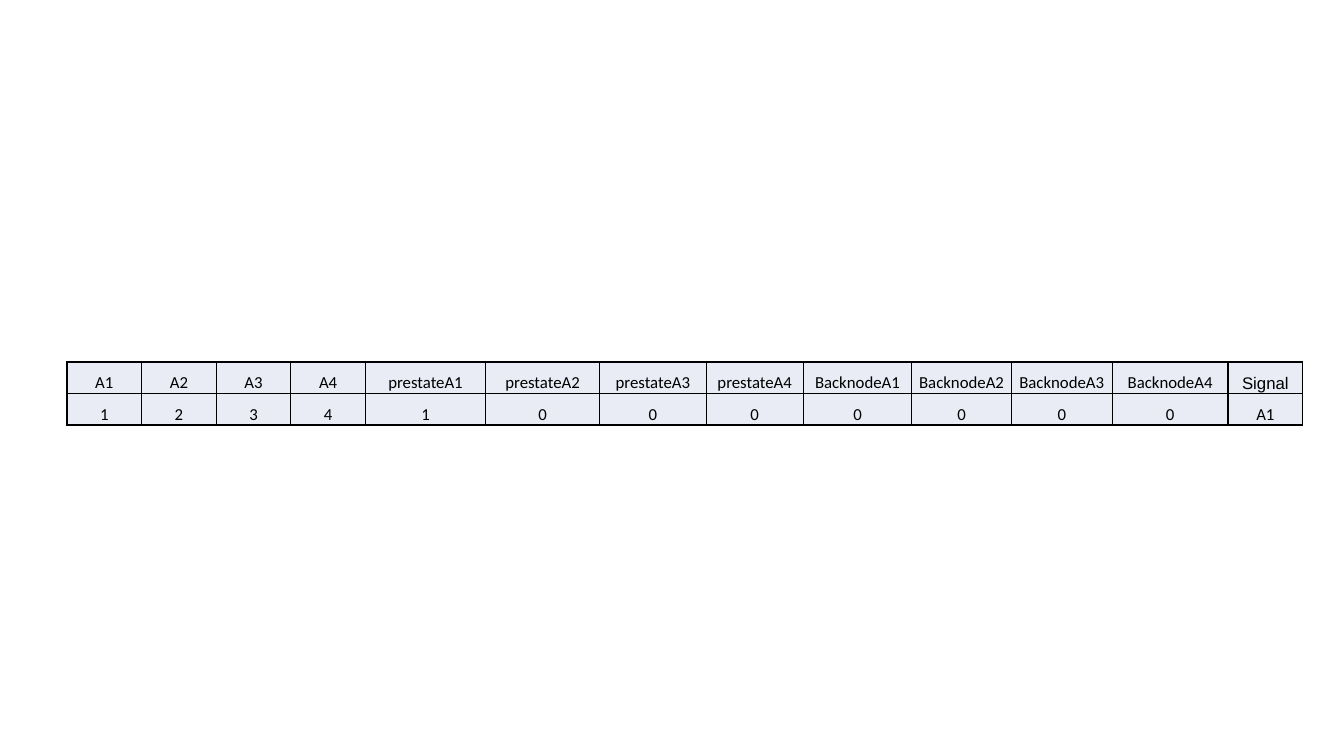
from dataclasses import dataclass

from lxml.etree import SubElement
from pptx import Presentation
from pptx.dml.color import RGBColor
from pptx.enum.text import MSO_ANCHOR as Anchor, PP_ALIGN as Align
from pptx.oxml.ns import qn
from pptx.table import _Cell as Cell
from pptx.util import Cm, Pt

BLACK = RGBColor(0x00, 0x00, 0x00)
PALE = RGBColor(0xE9, 0xEB, 0xF5)
LEFT, TOP, ROW = 1.69, 9.12, 0.53


@dataclass(frozen=True)
class Column:
    head: str
    value: str
    width: float
    font: str = "Calibri"


COLUMNS = [
    *(Column(f"A{n}", str(n), 1.88) for n in range(1, 5)),
    Column("prestateA1", "1", 3.03),
    Column("prestateA2", "0", 2.87),
    Column("prestateA3", "0", 2.69),
    Column("prestateA4", "0", 2.44),
    Column("BacknodeA1", "0", 2.74),
    Column("BacknodeA2", "0", 2.51),
    Column("BacknodeA3", "0", 2.54),
    Column("BacknodeA4", "0", 2.92),
    Column("Signal", "A1", 1.88, "Arial"),
]


def add_borders(cell: Cell) -> None:
    props = cell._tc.get_or_add_tcPr()
    for side in ("lnL", "lnR", "lnT", "lnB"):
        line = SubElement(props, qn(f"a:{side}"), w=str(Pt(1)))
        fill = SubElement(line, qn("a:solidFill"))
        SubElement(fill, qn("a:srgbClr"), val=str(BLACK))


def fill_cell(cell: Cell, text: str, font: str) -> None:
    add_borders(cell)
    cell.fill.solid()
    cell.fill.fore_color.rgb = PALE
    cell.vertical_anchor = Anchor.BOTTOM
    cell.margin_left = cell.margin_right = cell.margin_top = Cm(0.02)
    cell.margin_bottom = 0
    para = cell.text_frame.paragraphs[0]
    para.text = text
    para.alignment = Align.CENTER
    para.line_spacing = 1.5
    style = para.runs[0].font
    style.name = font
    style.size = Pt(12)
    style.bold = False
    style.color.rgb = BLACK


def main() -> None:
    deck = Presentation()
    deck.slide_width, deck.slide_height = Cm(33.87), Cm(19.05)
    slide = deck.slides.add_slide(deck.slide_layouts[6])
    width = sum(col.width for col in COLUMNS)
    table = slide.shapes.add_table(
        2, len(COLUMNS), Cm(LEFT), Cm(TOP), Cm(width), Cm(2 * ROW)
    ).table
    table.first_row = table.horz_banding = False
    for i, col in enumerate(COLUMNS):
        table.columns[i].width = Cm(col.width)
        fill_cell(table.cell(0, i), col.head, col.font)
        fill_cell(table.cell(1, i), col.value, "Calibri")
    deck.save("out.pptx")


if __name__ == "__main__":
    main()
